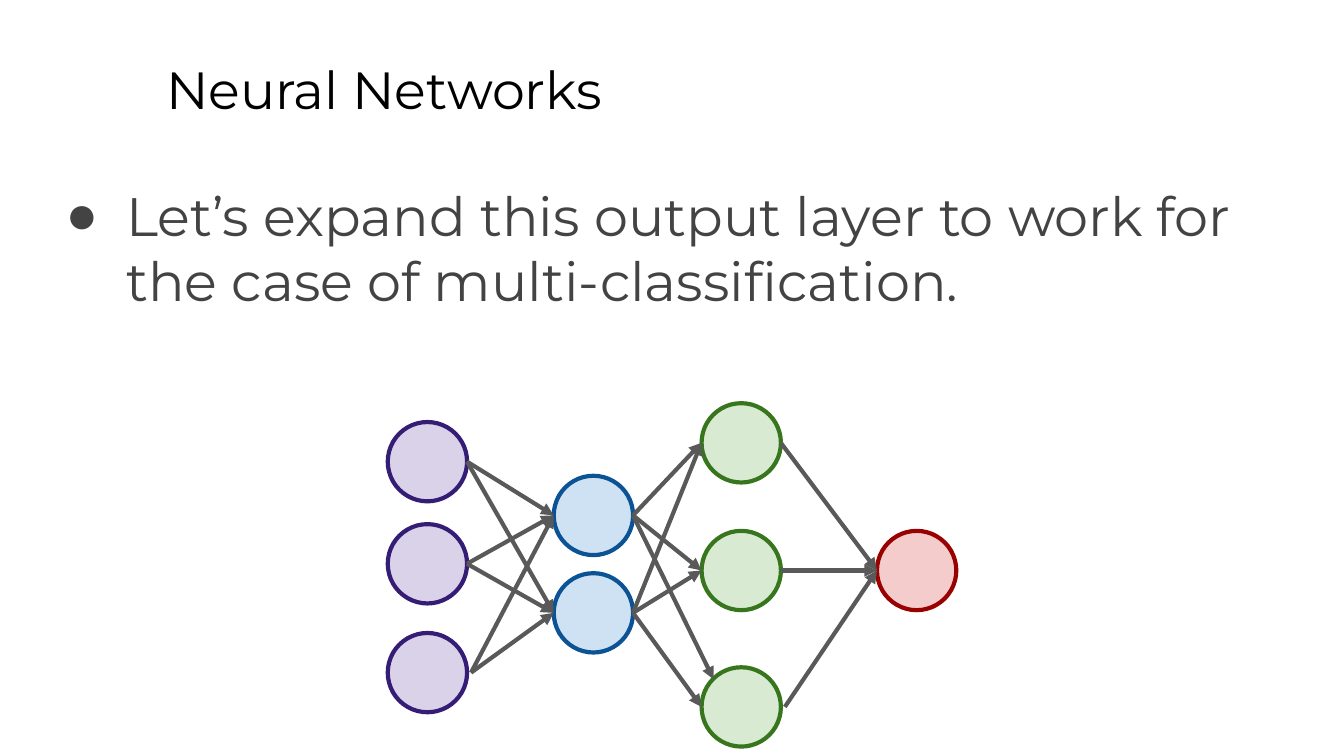
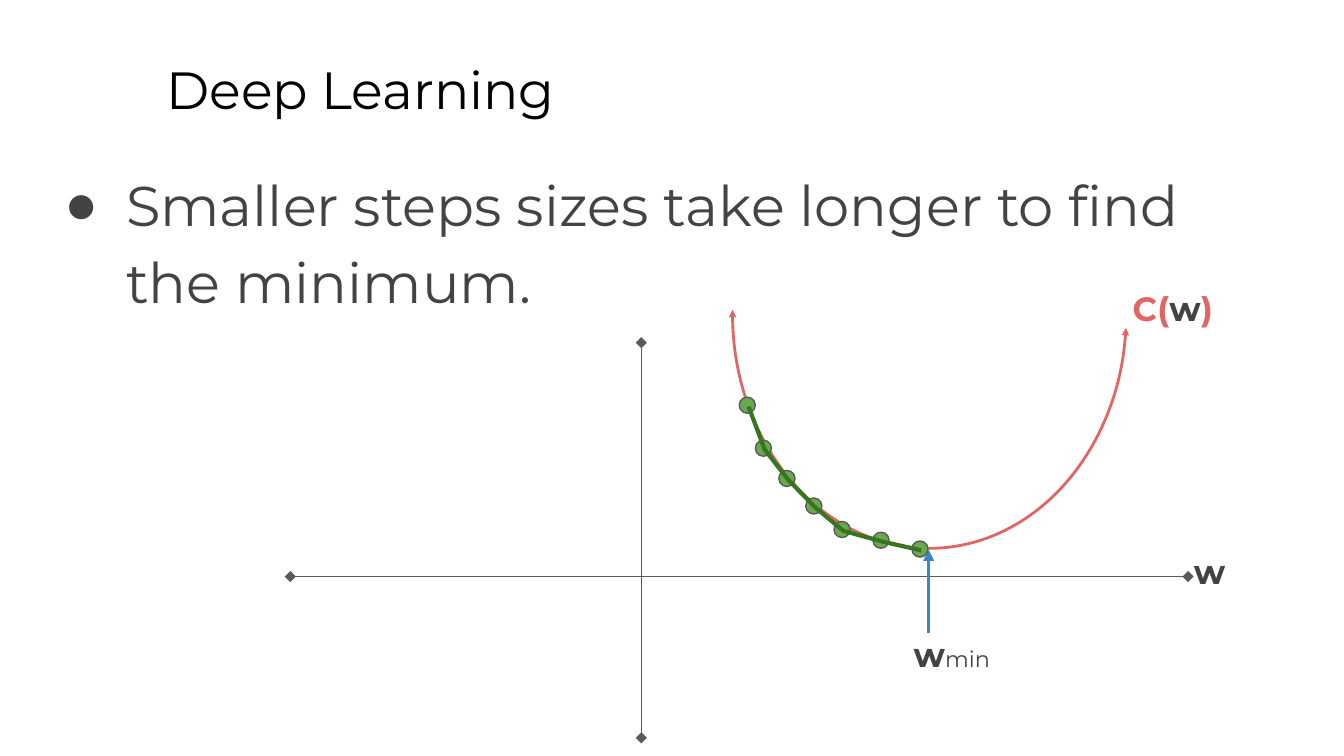
from itertools import product

from lxml.etree import SubElement
from pptx import Presentation
from pptx.dml.color import RGBColor
from pptx.enum.shapes import MSO_CONNECTOR, MSO_SHAPE
from pptx.oxml.ns import qn
from pptx.util import Inches, Pt

HUES = {
    "black": "000000", "text": "434343", "gray": "595959", "white": "FFFFFF",
    "coral": "E06666", "azure": "3D85C6", "leaf": "6AA84F", "forest": "38761D",
    "lilac": "D9D2E9", "purple": "351C75", "sky": "CFE2F3", "navy": "0B5394",
    "mint": "D9EAD3", "rose": "F4CCCC", "wine": "990000",
}
FONT = "Montserrat"
COLS, ROWS = 100, 56.25  # grid of square cells
WIDE = Inches(10)
HIGH = WIDE * 9 // 16

# Network layers: left edge, node tops, fill, line
NODE = 5.9
LAYERS = [
    (28.85, (31.4, 39, 47.1), "lilac", "purple"),
    (41.2, (35.4, 42.65), "sky", "navy"),
    (52.2, (30, 39.5, 49.65), "mint", "forest"),
    (65.25, (39.5,), "rose", "wine"),
]

# Descent steps: dot centres
DOT = 1.2
STEPS = [(55.6, 30.15), (56.8, 33.35), (58.55, 35.6), (60.55, 37.65),
         (62.65, 39.4), (65.55, 40.2), (68.45, 40.85)]


def across(col):
    return round(WIDE * col / COLS)


def down(row):
    return round(HIGH * row / ROWS)


def hue(name):
    return RGBColor.from_string(HUES[name])


def place(box):
    left, top, width, height = box
    return across(left), down(top), across(width), down(height)


def stroke(item, tone, width, head=None, tail=None, size="med"):
    item.line.color.rgb = hue(tone)
    item.line.width = Pt(width)
    edge = item.line._get_or_add_ln()
    for tag, kind in (("a:headEnd", head), ("a:tailEnd", tail)):
        if kind:
            SubElement(edge, qn(tag), type=kind, w=size, len=size)


def shape(slide, kind, box, fill, tone, width, **ends):
    item = slide.shapes.add_shape(kind, *place(box))
    item.shadow.inherit = False
    if fill:
        item.fill.solid()
        item.fill.fore_color.rgb = hue(fill)
    else:
        item.fill.background()
    stroke(item, tone, width, **ends)
    return item


def line(slide, start, end, tone, width, **ends):
    item = slide.shapes.add_connector(
        MSO_CONNECTOR.STRAIGHT,
        across(start[0]), down(start[1]), across(end[0]), down(end[1]))
    stroke(item, tone, width, **ends)
    SubElement(item._element.spPr, qn("a:effectLst"))


def frame(slide, box):
    words = slide.shapes.add_textbox(*place(box)).text_frame
    words.word_wrap = True
    words.margin_left = words.margin_right = Inches(0.1)
    words.margin_top = words.margin_bottom = Inches(0.1)
    return words.paragraphs[0]


def style(para, size, tone):
    para.font.name = FONT
    para.font.size = Pt(size)
    para.font.color.rgb = hue(tone)


def title(slide, words):
    para = frame(slide, (11.4, 3.25, 85.2, 6.3))
    para.text = words
    style(para, 28, "black")


def bullet(slide, words, box, size, indent, space=None):
    para = frame(slide, box)
    para.text = words
    if space:
        para.line_spacing = space
    props = para._p.get_or_add_pPr()
    props.set("marL", str(Inches(0.5)))
    props.set("indent", str(Inches(-indent)))
    tint = SubElement(props, qn("a:buClr"))
    SubElement(tint, qn("a:srgbClr"), val=HUES["text"])
    SubElement(props, qn("a:buFont"), typeface="Arial")
    SubElement(props, qn("a:buChar"), char="●")
    style(para, size, "text")


def label(slide, box, *parts):
    """Each part is words, size, colour and weight."""
    para = frame(slide, box)
    para.font.name = FONT
    for words, size, tone, bold in parts:
        run = para.add_run()
        run.text = words
        run.font.size = Pt(size)
        run.font.bold = bold
        run.font.color.rgb = hue(tone)


def network(slide):
    for left, tops, fill, tone in LAYERS:
        for top in tops:
            shape(slide, MSO_SHAPE.OVAL, (left, top, NODE, NODE),
                  fill, tone, 2.25)
    # Join every node to every node of the next layer
    for (left, tops, *_), (goal, ends, *_) in zip(LAYERS, LAYERS[1:]):
        for (i, top), (j, end) in product(enumerate(tops), enumerate(ends)):
            gap = 0.3 if i == 2 else 0
            start = (left + NODE + gap, top + NODE / 2)
            stop = (goal, end + NODE / 2)
            if j - i == 2:  # steepest arrow meets the upper left of its node
                stop = (goal + 0.9, end + 0.9)
            line(slide, start, stop, "gray", 2.25, tail="triangle")


def axes(slide):
    for start, end in (((47.72, 25.5), (47.72, 54.9)),
                       ((88.4, 42.9), (21.6, 42.9))):
        line(slide, start, end, "gray", 0.75, head="diamond", tail="diamond")


def curve(slide):
    arc = shape(slide, MSO_SHAPE.ARC, (51.7, 8.7, 34.9, 29.3), None,
                "coral", 1.5, head="triangle", tail="triangle", size="sm")
    arc.rotation = 90
    arc.adjustments[0] = 164.46
    arc.adjustments[1] = 54.71


def descent(slide):
    for x, y in STEPS:
        shape(slide, MSO_SHAPE.OVAL, (x - DOT / 2, y - DOT / 2, DOT, DOT),
              "leaf", "gray", 0.75)
    first, *rest = [(across(x + 0.1), down(y + 0.1)) for x, y in STEPS]
    pen = slide.shapes.build_freeform(*first)
    pen.add_line_segments(rest, close=False)
    trail = pen.convert_to_shape()
    trail.shadow.inherit = False
    trail.fill.background()
    stroke(trail, "forest", 2.25)


def page(deck, words):
    slide = deck.slides.add_slide(deck.slide_layouts[6])
    slide.background.fill.solid()
    slide.background.fill.fore_color.rgb = hue("white")
    title(slide, words)
    return slide


def main():
    deck = Presentation()
    deck.slide_width, deck.slide_height = WIDE, HIGH

    # Layers of a network
    slide = page(deck, "Neural Networks")
    bullet(slide, "Let’s expand this output layer to work for the case of "
           "multi-classification.", (3.4, 12.6, 95, 37.4), 29, 0.45)
    network(slide)

    # Gradient descent on a cost curve
    slide = page(deck, "Deep Learning")
    bullet(slide, "Smaller steps sizes take longer to find the minimum.",
           (3.4, 10.95, 93.2, 8.4), 30, 0.46, 1.15)
    axes(slide)
    curve(slide)
    label(slide, (83.3, 20.4, 16, 5.9), ("C(", 18, "coral", True),
          ("w", 18, "text", True), (")", 18, "coral", True))
    label(slide, (87.85, 40, 8.4, 5.9), ("w", 18, "text", True))
    line(slide, (69.1, 40.9), (69.1, 47.1), "azure", 1.5, head="triangle")
    label(slide, (67, 46.2, 11.4, 5.9), ("w", 18, "text", True),
          ("min", 12, "text", False))
    descent(slide)

    deck.save("out.pptx")


if __name__ == "__main__":
    main()
